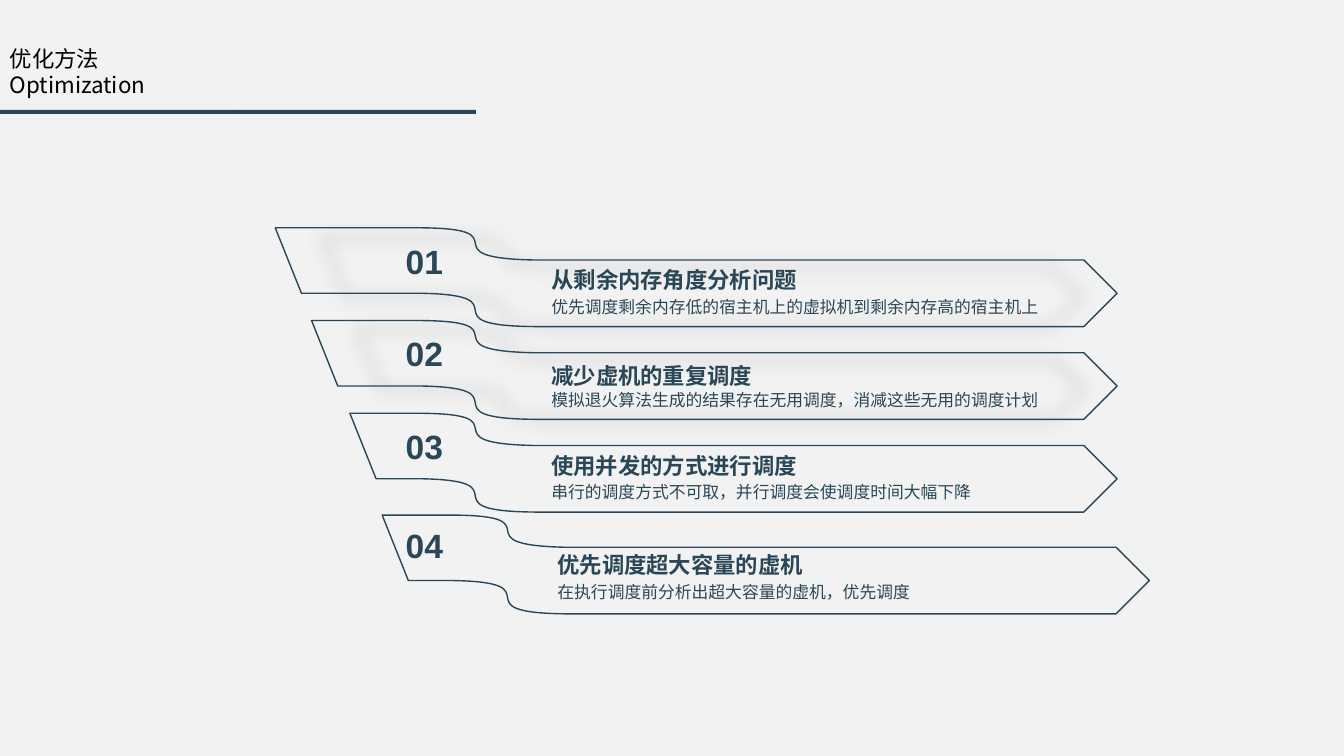
"""Build the optimization methods slide with four numbered arrow banners."""
from lxml import etree
from pptx import Presentation
from pptx.dml.color import RGBColor
from pptx.enum import shapes, text
from pptx.oxml import ns
from pptx.util import Inches, Pt

INK, BACKGROUND, BLACK = "2A4758", "F2F2F2", "000000"
SANS, LATIN = "Noto Sans CJK SC", "Arial"
TITLES = [("优化方法", 0.4, 3.83), ("Optimization", 0.66, 4.33)]
BANNERS = [
    dict(left=2.73, top=2.26, shift=0, shadow=True, text_left=5.37,
         number=("01", 2.34), heading=("从剩余内存角度分析问题", 2.64, 3.68),
         detail=("优先调度剩余内存低的宿主机上的虚拟机到剩余内存高的宿主机上", 2.94, 5.24)),
    dict(left=3.09, top=3.18, shift=0, shadow=True, text_left=5.37,
         number=("02", 3.25), heading=("减少虚机的重复调度", 3.59, 2.25),
         detail=("模拟退火算法生成的结果存在无用调度，消减这些无用的调度计划", 3.87, 5.59)),
    dict(left=3.47, top=4.1, shift=0, shadow=False, text_left=5.37,
         number=("03", 4.18), heading=("使用并发的方式进行调度", 4.49, 3.3),
         detail=("串行的调度方式不可取，并行调度会使调度时间大幅下降", 4.78, 5.41)),
    dict(left=3.79, top=5.11, shift=0.32, shadow=False, text_left=5.43,
         number=("04", 5.16), heading=("优先调度超大容量的虚机", 5.47, 3.3),
         detail=("在执行调度前分析出超大容量的虚机，优先调度", 5.77, 5.41)),
]
UPPER_BEND = [(4.18, 0), (5.21, 0.01), (4.2, 0.3), (5.31, 0.32)]
ARROW = [(10.75, 0.32), (11.08, 0.65), (10.75, 0.98)]
LOWER_BEND = [(5.3, 0.98), (4.2, 0.97), (5.21, 0.67), (4.18, 0.65)]
TAB_HEIGHT, SLANT = 0.65, 0.26


def color(value):
    return RGBColor.from_string(value)


def round_bends(shape):
    """Turn the three lines through each bend's control points into one curve."""
    lines = list(shape._element.iter(ns.qn("a:lnTo")))
    lower_start = len(UPPER_BEND) + len(ARROW)
    for start in (0, lower_start):
        first, *others = lines[start + 1:start + 4]
        first.tag_name = None
        curve = etree.Element(ns.qn("a:cubicBezTo"))
        first.addprevious(curve)
        for line in (first, *others):
            curve.append(line[0])
            line.getparent().remove(line)


def add_shadow(shape):
    effects = shape._element.spPr.find(ns.qn("a:effectLst"))
    shadow = etree.SubElement(effects, ns.qn("a:outerShdw"), blurRad=str(Pt(12)), dist=str(Pt(5)),
                              dir=str(45 * 60000), sx="90000", sy="90000", algn="ctr", rotWithShape="0")
    shade = etree.SubElement(shadow, ns.qn("a:srgbClr"), val=BLACK)
    etree.SubElement(shade, ns.qn("a:alpha"), val="50000")


def add_banner(slide, banner):
    left, top = banner["left"], banner["top"]
    body = [(x + banner["shift"], top + y) for x, y in UPPER_BEND + ARROW + LOWER_BEND]
    outline = [(left, top), *body, (left + SLANT, top + TAB_HEIGHT)]
    corners = [(Inches(x), Inches(y)) for x, y in outline]
    builder = slide.shapes.build_freeform(*corners[0], scale=1.0)
    builder.add_line_segments(corners[1:], close=True)
    shape = builder.convert_to_shape()
    round_bends(shape)
    shape.fill.background()
    shape.line.color.rgb = color(INK)
    shape.line.width = Pt(1)
    shape.shadow.inherit = False
    if banner["shadow"]:
        add_shadow(shape)


def add_text(slide, words, left, top, width, height, size, font=SANS, ink=INK, bold=False,
             align=text.PP_ALIGN.LEFT, inset=0.0):
    box = slide.shapes.add_textbox(Inches(left), Inches(top), Inches(width), Inches(height))
    frame = box.text_frame
    frame.word_wrap = True
    frame.margin_top = frame.margin_bottom = Inches(inset)
    para = frame.paragraphs[0]
    para.text = words
    para.alignment = align
    para.font.name = font
    para.font.size = Pt(size)
    para.font.bold = bold
    para.font.color.rgb = color(ink)


def main():
    deck = Presentation()
    deck.slide_width, deck.slide_height = Inches(13.33), Inches(7.5)
    slide = deck.slides.add_slide(deck.slide_layouts[6])
    slide.background.fill.solid()
    slide.background.fill.fore_color.rgb = color(BACKGROUND)

    for banner in BANNERS:
        add_banner(slide, banner)
        words, top = banner["number"]
        add_text(slide, words, 3.88, top, 0.66, 0.51, 24, LATIN,
                 bold=True, align=text.PP_ALIGN.CENTER, inset=0.05)
        words, top, width = banner["heading"]
        add_text(slide, words, banner["text_left"], top, width, 0.3, 16, bold=True)
        words, top, width = banner["detail"]
        add_text(slide, words, banner["text_left"], top, width, 0.31, 12)

    for half in range(2):
        rule = slide.shapes.add_shape(shapes.MSO_SHAPE.RECTANGLE, Inches(2.36 * half), Inches(1.09),
                                      Inches(2.36), Inches(0.04))
        rule.fill.solid()
        rule.fill.fore_color.rgb = color(INK)
        rule.line.fill.background()
        rule.shadow.inherit = False
    for words, top, width in TITLES:
        add_text(slide, words, 0, top, width, 0.37, 16, ink=BLACK, inset=0.05)

    deck.save("out.pptx")


if __name__ == "__main__":
    main()
